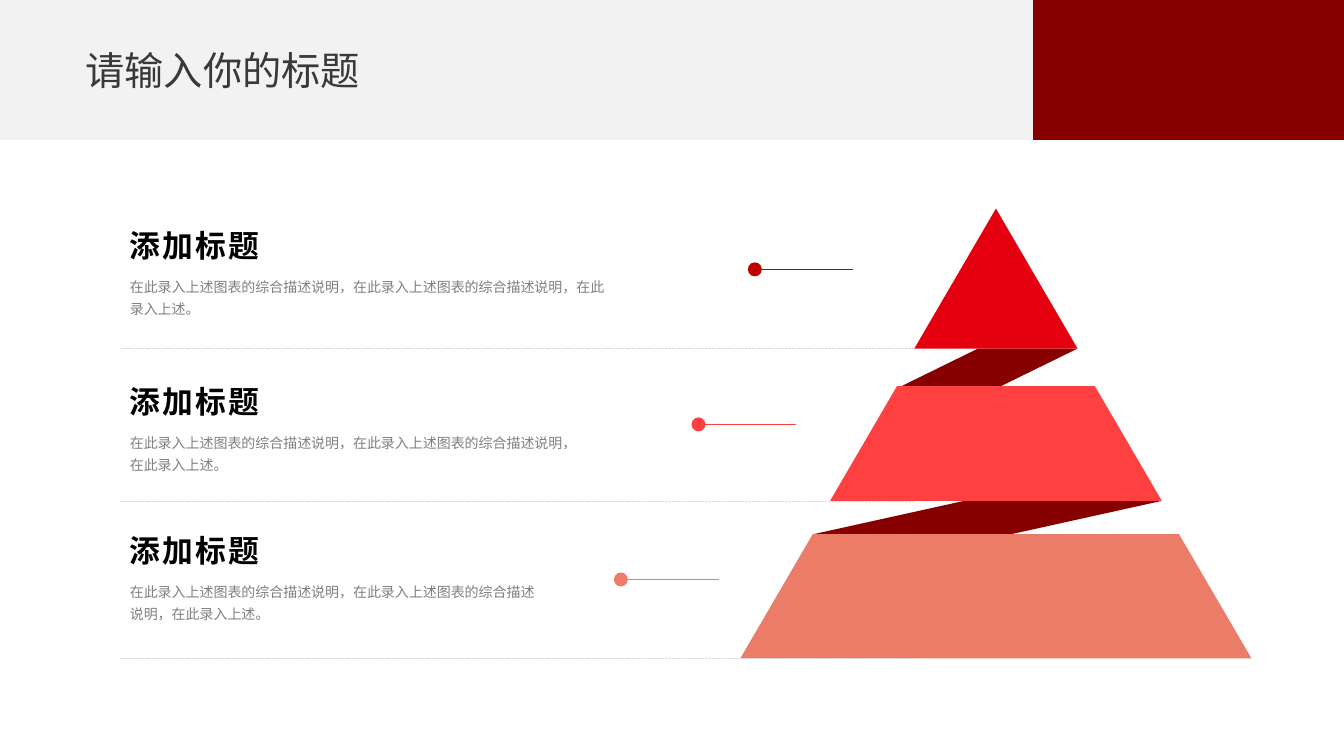
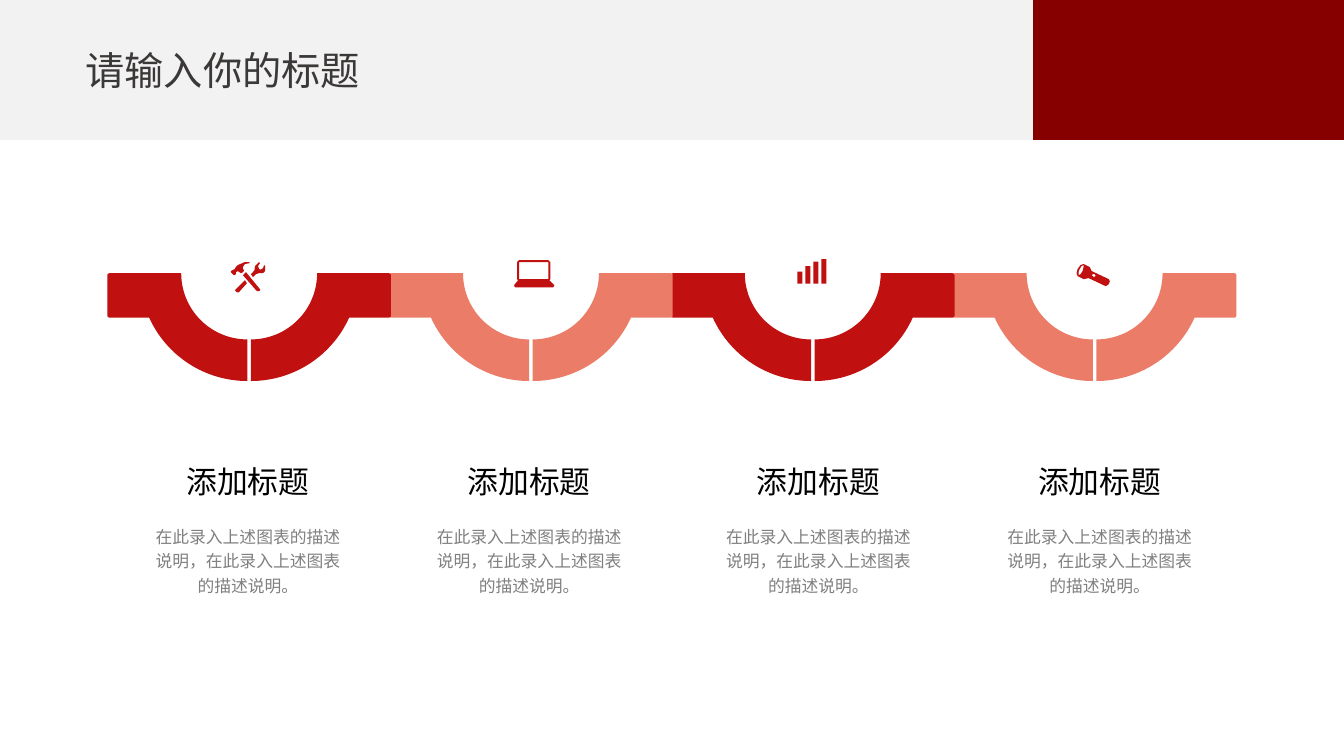
from dataclasses import dataclass
from math import asin, cos, pi, sin
from typing import Sequence

from pptx import Presentation
from pptx.dml.color import RGBColor
from pptx.enum.dml import MSO_LINE
from pptx.enum.shapes import MSO_CONNECTOR, MSO_SHAPE as Preset
from pptx.enum.text import MSO_ANCHOR, MSO_AUTO_SIZE, PP_ALIGN as Align
from pptx.oxml.ns import qn
from pptx.oxml.xmlchemy import OxmlElement
from pptx.util import Pt

Point = tuple[float, float]
Contour = Sequence[Point]


# Theme shared by both slides
@dataclass(frozen=True)
class Theme:
    band: str = "F2F2F2"
    maroon: str = "860000"
    title: str = "3B3838"
    heading: str = "000000"
    body: str = "808080"
    rule: str = "D9D9D9"
    bright: str = "E4000E"
    dot: str = "C00000"
    red: str = "FF4040"
    salmon: str = "EB7D68"
    crimson: str = "C01010"
    latin: str = "Arial"
    asian: str = "Noto Sans CJK SC"
    title_size: float = 28
    heading_size: float = 22
    body_size: float = 12
    small_size: float = 10


THEME = Theme()
WIDTH, HEIGHT = 960, 540
BAND_HEIGHT, ACCENT_LEFT = 100, 738


@dataclass(frozen=True)
class TextStyle:
    size: float
    color: str
    font: str = THEME.latin
    bold: bool = False
    tracking: float = 0
    line_spacing: float = 1
    align: Align = Align.LEFT


TITLE = TextStyle(THEME.title_size, THEME.title, THEME.asian)
STEP_HEADING = TextStyle(THEME.heading_size, THEME.heading, bold=True, tracking=1.5)
STEP_BODY = TextStyle(THEME.small_size, THEME.body, line_spacing=1.3)
LINK_HEADING = TextStyle(THEME.heading_size, THEME.heading, align=Align.CENTER)
LINK_BODY = TextStyle(THEME.body_size, THEME.body, line_spacing=1.2, align=Align.CENTER)


# Drawing helpers, all lengths in points
def place(shape, left: float, top: float, width: float, height: float) -> None:
    shape.left, shape.top = Pt(left), Pt(top)
    shape.width, shape.height = Pt(width), Pt(height)


def paint(shape, color: str):
    shape.shadow.inherit = False
    shape.fill.solid()
    shape.fill.fore_color.rgb = RGBColor.from_string(color)
    shape.line.fill.background()
    return shape


def add_preset(page, preset: Preset, left: float, top: float, width: float,
               height: float, color: str, adjust: float | None = None):
    shape = page.shapes.add_shape(preset, Pt(left), Pt(top), Pt(width), Pt(height))
    if adjust is not None:
        shape.adjustments[0] = adjust
    return paint(shape, color)


def add_outline(page, contours: Sequence[Contour], left: float, top: float,
                color: str, unit: float = 1) -> None:
    """Fill closed contours given in multiples of unit from (left, top)."""
    scaled = [[(Pt(x * unit), Pt(y * unit)) for x, y in contour] for contour in contours]
    builder = page.shapes.build_freeform(*scaled[0][0])
    for index, contour in enumerate(scaled):
        if index:
            builder.move_to(*contour[0])
        builder.add_line_segments(contour[1:], close=True)
    paint(builder.convert_to_shape(Pt(left), Pt(top)), color)


def add_rule(page, left: float, right: float, y: float, color: str,
             weight: float, dash: MSO_LINE | None = None) -> None:
    rule = page.shapes.add_connector(MSO_CONNECTOR.STRAIGHT, Pt(right), Pt(y), Pt(left), Pt(y))
    rule.line.color.rgb = RGBColor.from_string(color)
    rule.line.width = Pt(weight)
    if dash is not None:
        rule.line.dash_style = dash
    rule.element.find(qn("p:spPr")).append(OxmlElement("a:effectLst"))


def write(box, text: str, style: TextStyle) -> None:
    frame = box.text_frame
    frame.text = text
    frame.word_wrap = True
    frame.auto_size = MSO_AUTO_SIZE.SHAPE_TO_FIT_TEXT
    frame.vertical_anchor = MSO_ANCHOR.TOP
    for para in frame.paragraphs:
        para.alignment = style.align
        para.line_spacing = style.line_spacing
        para.space_before = Pt(0)
        for span in para.runs:
            span.font.size = Pt(style.size)
            span.font.bold = style.bold
            span.font.color.rgb = RGBColor.from_string(style.color)
            span.font.name = style.font
    for properties in box.element.iter(qn("a:rPr")):
        if style.tracking:
            properties.set("spc", str(int(style.tracking * 100)))
        asian = OxmlElement("a:ea")
        asian.set("typeface", THEME.asian)
        properties.find(qn("a:latin")).addnext(asian)


def add_text(page, text: str, left: float, top: float, width: float,
             height: float, style: TextStyle) -> None:
    write(page.shapes.add_textbox(Pt(left), Pt(top), Pt(width), Pt(height)), text, style)


def add_page(deck, title: str):
    """Add a slide with its header band and title."""
    page = deck.slides.add_slide(deck.slide_layouts.get_by_name("Title Only"))
    heading = page.shapes.title
    for left, color in ((0, THEME.band), (ACCENT_LEFT, THEME.maroon)):
        band = add_preset(page, Preset.RECTANGLE, left, 0, WIDTH - left, BAND_HEIGHT, color)
        heading.element.addprevious(band.element)
    place(heading, 54, 29.5, 250, 41)
    write(heading, title, TITLE)
    return page


# Pyramid slide
@dataclass(frozen=True)
class Tier:
    color: str
    top: float
    width: float
    height: float
    dot_color: str
    dot_left: float
    caption_top: float
    caption_width: float

    @property
    def left(self) -> float:
        return PYRAMID_CENTER - self.width / 2

    @property
    def bottom(self) -> float:
        return self.top + self.height


@dataclass(frozen=True)
class Ribbon:
    left: float
    slant: float


PYRAMID_CENTER, SIDE_SLOPE = 711.4, 0.583
TIERS = (
    Tier(THEME.bright, 149, 116.6, 100, THEME.dot, 534.2, 158.4, 357),
    Tier(THEME.red, 275.8, 237, 82, THEME.red, 493.9, 270, 335),
    Tier(THEME.salmon, 381.6, 365, 88.6, THEME.salmon, 438.5, 376.4, 310),
)
RIBBONS = (Ribbon(644, 54.6), Ribbon(581, 107.6))
CAPTION_LEFT, HEADING_HEIGHT = 85.7, 33.6
DOT_SIZE, POINTER_LENGTH = 10, 70
POINTER_TOP, POINTER_PITCH = 192.4, 110.75


def draw_pyramid(page) -> None:
    for upper, lower, ribbon in zip(TIERS, TIERS[1:], RIBBONS):
        height = lower.top - upper.bottom
        add_preset(page, Preset.PARALLELOGRAM, ribbon.left, upper.bottom,
                   upper.left + upper.width - ribbon.left, height,
                   THEME.maroon, ribbon.slant / height)
    for tier in TIERS:
        add_preset(page, Preset.TRAPEZOID, tier.left, tier.top, tier.width,
                   tier.height, tier.color, SIDE_SLOPE)
    for tier in TIERS:
        add_rule(page, CAPTION_LEFT, TIERS[0].left, tier.bottom, THEME.rule,
                 0.25, MSO_LINE.SQUARE_DOT)
    for index, tier in enumerate(TIERS):
        y = POINTER_TOP + index * POINTER_PITCH
        start = tier.dot_left + DOT_SIZE / 2
        add_rule(page, start, start + POINTER_LENGTH, y, tier.dot_color, 0.5)
        add_preset(page, Preset.OVAL, tier.dot_left, y - DOT_SIZE / 2,
                   DOT_SIZE, DOT_SIZE, tier.dot_color)
        add_text(page, "添加标题", CAPTION_LEFT, tier.caption_top, 281,
                 HEADING_HEIGHT, STEP_HEADING)
        add_text(page, "在此录入上述图表的综合描述说明，在此录入上述图表的综合描述说明，在此录入上述。",
                 CAPTION_LEFT, tier.caption_top + HEADING_HEIGHT,
                 tier.caption_width, 39, STEP_BODY)


# Chain slide
@dataclass(frozen=True)
class Icon:
    left: float
    top: float
    contours: Sequence[Contour]


ICON_UNIT = 0.72
TOOLS = Icon(164.9, 187.2, (
    ((4, 28), (6, 30), (8, 30), (16, 21), (14, 18), (5, 27)),
    ((34, 4), (33, 3), (32, 6), (30, 7.5), (28, 7), (27, 4), (29, 1), (28, 0), (24, 4),
     (23.5, 8), (22, 10), (20, 12), (22, 15), (25, 12), (28, 11), (32, 11), (34, 9)),
    ((15, 10), (12, 13), (26, 29), (28, 29), (29, 28), (29, 27)),
    ((5, 10), (7, 9), (10, 11), (11, 11), (13, 9), (13, 8), (12, 7), (12, 5),
     (14, 2), (19, 1), (18, 0), (14, 0), (7, 3), (5, 5), (4, 7), (2, 8), (0, 9),
     (0, 10), (3, 13), (4, 13), (5, 12)),
))
LAPTOP = Icon(367.2, 185.8, (
    ((0, 25), (1, 27), (39, 27), (40, 25), (35, 20), (36, 19), (36, 2), (34, 0),
     (5, 0), (3, 2), (3, 19), (4, 20)),
    ((34, 19), (34, 2), (5, 2), (5, 19)),
))
TORCH = Icon(769, 188.6, (
    ((1, 5), (4, 1), (7, 0), (13, 3), (15, 7), (32, 15), (33, 17), (32, 20),
     (29, 22), (12, 14), (7, 15), (1, 12), (0, 9)),
    ((6, 7), (7, 3), (7, 1), (5, 2), (3, 5), (2, 8), (2, 11), (4, 10)),
    ((19, 12), (18, 10), (16, 10), (15, 11), (17, 13)),
))
BARS_LEFT, BARS_BOTTOM, BAR_WIDTH, BAR_PITCH = 569.5, 202.6, 3.6, 5.76
BAR_HEIGHTS = (8.6, 12.5, 15.7, 17.5)

CHAIN_TOP, CHAIN_LEFT, CHAIN_PITCH = 195.2, 178, 201.3
INNER, OUTER = 47.3, 77
BAR_END, BAR_DEPTH, CORNER, GAP = 100, 31.7, 1.4, 2.5
LINK_COLORS = (THEME.crimson, THEME.salmon) * 2
CAPTION_CENTERS = (177.1, 378, 584.6, 785.5)


def arc(radius: float, start: float, end: float, x: float = 0, y: float = 0,
        steps: int = 32) -> list[Point]:
    angles = [start + (end - start) * step / steps for step in range(steps + 1)]
    return [(x + radius * cos(angle), y + radius * sin(angle)) for angle in angles]


def half_link(side: int) -> list[Point]:
    """Quarter ring with a bar towards the given side (-1 left, 1 right)."""
    corner_x = BAR_END - CORNER
    outline = (arc(INNER, 0, pi / 2)
               + arc(OUTER, pi / 2, asin(BAR_DEPTH / OUTER))
               + arc(CORNER, pi / 2, 0, corner_x, BAR_DEPTH - CORNER, 4)
               + arc(CORNER, 0, -pi / 2, corner_x, CORNER, 4))
    return [(side * (x + GAP / 2), y) for x, y in outline]


def draw_chain(page) -> None:
    for index, color in reversed(list(enumerate(LINK_COLORS))):
        for side in (1, -1):
            add_outline(page, [half_link(side)], CHAIN_LEFT + index * CHAIN_PITCH,
                        CHAIN_TOP, color)
    for icon in (TOOLS, LAPTOP, TORCH):
        add_outline(page, icon.contours, icon.left, icon.top, THEME.crimson, ICON_UNIT)
    for index, height in enumerate(BAR_HEIGHTS):
        add_preset(page, Preset.RECTANGLE, BARS_LEFT + index * BAR_PITCH,
                   BARS_BOTTOM - height, BAR_WIDTH, height, THEME.crimson)
    for center in CAPTION_CENTERS:
        add_text(page, "添加标题", center - 61, 326.9, 122, 34, LINK_HEADING)
        add_text(page, "在此录入上述图表的描述说明，在此录入上述图表的描述说明。",
                 center - 77.8, 370, 155.6, 59, LINK_BODY)


def main() -> None:
    deck = Presentation()
    deck.slide_width, deck.slide_height = Pt(WIDTH), Pt(HEIGHT)
    for draw in (draw_pyramid, draw_chain):
        draw(add_page(deck, "请输入你的标题"))
    deck.save("out.pptx")


if __name__ == "__main__":
    main()
